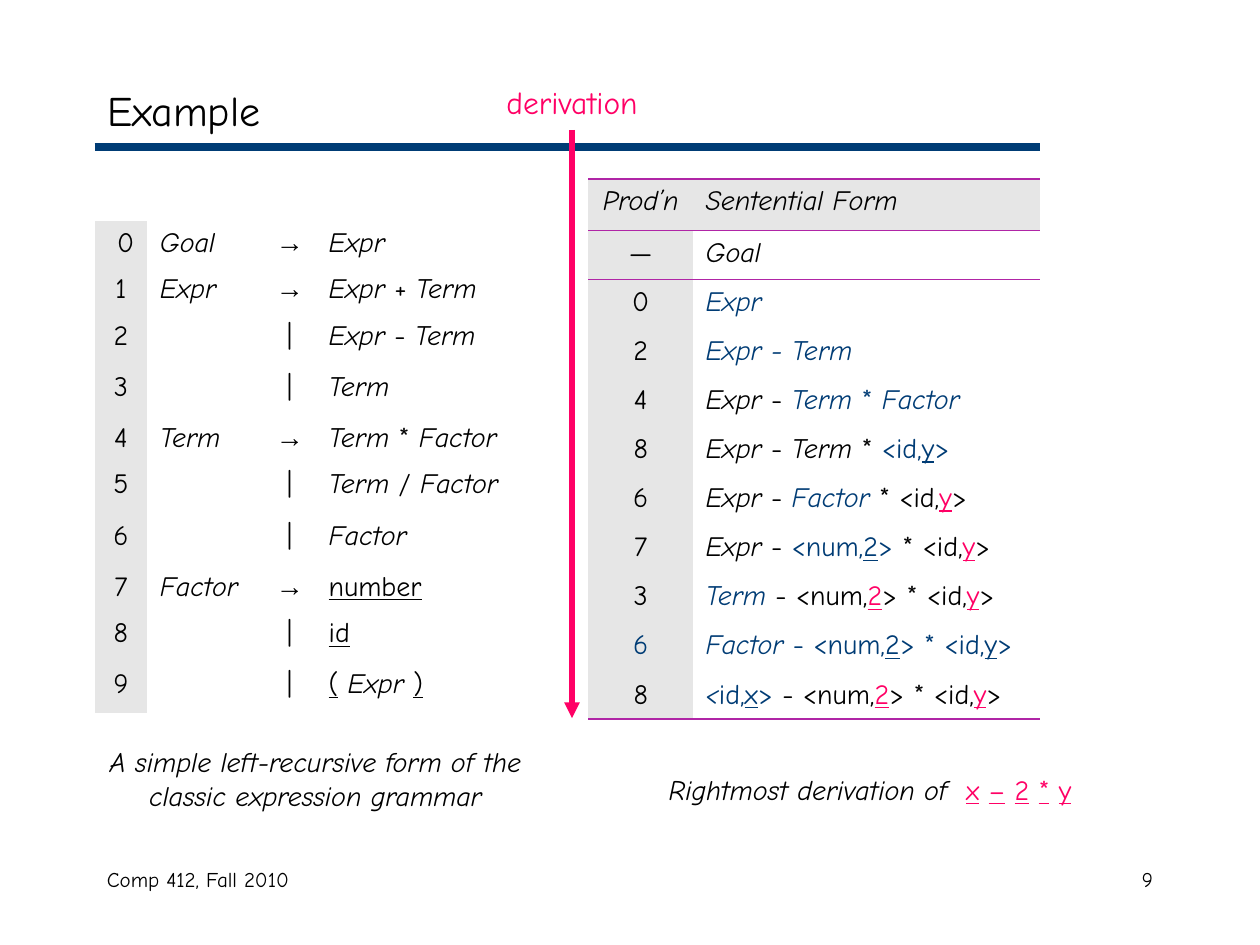
import pptx
import pptx.dml.color
import pptx.enum.shapes
import pptx.enum.text
import pptx.oxml.ns
import pptx.util
from lxml import etree
from pptx.util import Inches

RGB = pptx.dml.color.RGBColor
BLACK = RGB(0x00, 0x00, 0x00)
WHITE = RGB(0xFF, 0xFF, 0xFF)
BLUE = RGB(0x00, 0x3C, 0x75)
PINK = RGB(0xFF, 0x00, 0x65)
GREY = RGB(0xE6, 0xE6, 0xE6)
PURPLE = RGB(0xB0, 0x25, 0xA6)
FONT = "Comic Neue"
PLAIN_TABLE_STYLE = "{2D5ABB26-0587-4C30-8999-92F81FD0307C}"
LEFT, CENTER, RIGHT = (pptx.enum.text.PP_ALIGN.LEFT, pptx.enum.text.PP_ALIGN.CENTER,
                       pptx.enum.text.PP_ALIGN.RIGHT)
TOP = pptx.enum.text.MSO_ANCHOR.TOP

# Text is a string or a list of (text, marks); marks: i italic, u underline, b blue, p pink.
ARROW, BAR = "→", "|"
GRAMMAR = [
    (" 0", "Goal", ARROW, [("Expr", "i")]),
    ("1", "Expr", ARROW, [("Expr", "i"), (" + ", ""), ("Term", "i")]),
    ("2", "", BAR, [("Expr", "i"), (" - ", ""), ("Term", "i")]),
    ("3", "", BAR, [("Term", "i")]),
    ("4", "Term", ARROW, [("Term ", "i"), ("* ", ""), ("Factor", "i")]),
    ("5", "", BAR, [("Term", "i"), (" / ", ""), ("Factor", "i")]),
    ("6", "", BAR, [("Factor", "i")]),
    ("7", "Factor", ARROW, [("number", "u")]),
    ("8", "", BAR, [("id", "u")]),
    ("9", "", BAR, [("(", "u"), (" ", ""), ("Expr ", "i"), (")", "u")]),
]
ID_Y = [("y", "pu"), (">", "")]
NUM_2_ID_Y = [("- <num,", ""), ("2", "pu"), ("> * <id,", ""), *ID_Y]
DERIVATION = [
    ([("Prod’n", "i")], [("Sentential Form", "i")]),
    ("—", [("Goal", "i")]),
    ("0", [("Expr", "ib")]),
    ("2", [("Expr - Term", "ib")]),
    ("4", [("Expr", "i"), (" - ", ""), ("Term", "ib"), (" * ", "b"), ("Factor", "ib")]),
    ("8", [("Expr", "i"), (" - ", ""), ("Term", "i"), (" * ", ""),
           ("<id,", "b"), ("y", "bu"), (">", "b")]),
    ("6", [("Expr", "i"), (" - ", ""), ("Factor", "ib"), (" * <id,", ""), *ID_Y]),
    ("7", [("Expr", "i"), (" - ", ""), ("<num,", "b"), ("2", "bu"), ("> ", "b"),
           ("* <id,", ""), *ID_Y]),
    ("3", [("Term ", "ib"), *NUM_2_ID_Y]),
    ([("6", "b")], [("Factor ", "ib"), ("- <num,", "b"), ("2", "bu"), ("> * <id,", "b"),
                    ("y", "bu"), (">", "b")]),
    ("8", [("<", "ib"), ("id,", "b"), ("x", "bu"), ("> ", "b"), *NUM_2_ID_Y]),
]
EXPRESSION = [("Rightmost derivation of ", "i"), (" ", "p"), ("x", "pu"), (" ", "p"),
              ("–", "pu"), (" ", "p"), ("2", "pu"), (" ", "p"), ("*", "pu"), (" ", "p"),
              ("y", "pu")]


def write_text(frame, text, size=16, color=BLACK, align=LEFT, font=FONT):
    paragraph = frame.paragraphs[0]
    paragraph.alignment = align
    for words, marks in [(text, "")] if isinstance(text, str) else text:
        run = paragraph.add_run()
        run.text = words
        run.font.name = font
        run.font.size = pptx.util.Pt(size)
        run.font.italic = "i" in marks
        run.font.underline = "u" in marks
        run.font.color.rgb = BLUE if "b" in marks else PINK if "p" in marks else color


def add_label(slide, text, left, top, width, height, **text_format):
    label = slide.shapes.add_textbox(Inches(left), Inches(top), Inches(width), Inches(height))
    label.text_frame.word_wrap = True
    write_text(label.text_frame, text, **text_format)


def add_line(slide, x1, y1, x2, y2, color, width):
    line = slide.shapes.add_connector(pptx.enum.shapes.MSO_CONNECTOR.STRAIGHT,
                                      Inches(x1), Inches(y1), Inches(x2), Inches(y2))
    line.line.color.rgb = color
    line.line.width = pptx.util.Pt(width)
    etree.SubElement(line._element.spPr, pptx.oxml.ns.qn("a:effectLst"))
    return line


def add_plain_table(slide, left, top, column_widths, row_heights):
    frame = slide.shapes.add_table(len(row_heights), len(column_widths), Inches(left), Inches(top),
                                   Inches(sum(column_widths)), Inches(sum(row_heights)))
    table = frame.table
    table.first_row = table.horz_banding = False
    table._tbl.tblPr.find(pptx.oxml.ns.qn("a:tableStyleId")).text = PLAIN_TABLE_STYLE
    for column, width in zip(table.columns, column_widths):
        column.width = Inches(width)
    for row, height in zip(table.rows, row_heights):
        row.height = Inches(height)
    return table


def fill_cell(cell, color):
    cell.fill.solid()
    cell.fill.fore_color.rgb = color


def add_border(cell, side, width):
    """Draw a purple border on a side, "T" or "B"; call it before the cell is filled."""
    edge = etree.SubElement(cell._tc.get_or_add_tcPr(), pptx.oxml.ns.qn(f"a:ln{side}"),
                            w=str(pptx.util.Pt(width)))
    fill = etree.SubElement(edge, pptx.oxml.ns.qn("a:solidFill"))
    etree.SubElement(fill, pptx.oxml.ns.qn("a:srgbClr"), val=str(PURPLE))


def add_heading(slide, left, top, width, height, rule_width):
    title = slide.shapes.title
    title.left, title.top = Inches(left), Inches(top)
    title.width, title.height = Inches(width), Inches(height)
    title.text_frame.vertical_anchor = pptx.enum.text.MSO_ANCHOR.MIDDLE
    write_text(title.text_frame, "Example", size=24)
    rule_y = top + height + 0.01
    add_line(slide, left, rule_y, left + rule_width, rule_y, BLUE, 4.5)


def add_grammar(slide, left, top, width):
    columns = [0.42, 0.92, 0.42]
    columns.append(width - sum(columns))
    table = add_plain_table(slide, left, top, columns, [0.37] * len(GRAMMAR))
    for row, (number, symbol, sign, expansion) in enumerate(GRAMMAR):
        cells = [table.cell(row, column) for column in range(4)]
        write_text(cells[0].text_frame, number, align=CENTER)
        if symbol:
            write_text(cells[1].text_frame, [(symbol, "i")])
        write_text(cells[2].text_frame, sign, align=CENTER,
                   font="Arial" if sign == ARROW else FONT)
        write_text(cells[3].text_frame, expansion)
        fill_cell(cells[0], GREY)
        for cell in cells[1:]:
            cell.fill.background()
    add_label(slide, [("A simple left-recursive form of the classic expression grammar", "i")],
              left - 0.08, top + 4.11, width, 0.64, align=CENTER)


def add_derivation(slide, left, top, width):
    number_width, last = 0.83, len(DERIVATION) - 1
    heights = [0.41] + [0.39] * (last - 1) + [0.37]
    table = add_plain_table(slide, left, top, [number_width, width - number_width], heights)
    for row, texts in enumerate(DERIVATION):
        for column, text in enumerate(texts):
            cell = table.cell(row, column)
            write_text(cell.text_frame, text, align=LEFT if column else CENTER)
            if row == 0:
                add_border(cell, "T", 1.08)
                add_border(cell, "B", 0.45)
            elif row == 1:
                add_border(cell, "T", 0.45)
            elif row == last:
                add_border(cell, "B", 1.08)
            fill_cell(cell, WHITE if row and column else GREY)
    add_label(slide, EXPRESSION, left - 0.29, top + 4.66, 5.05, 0.37, align=CENTER)


def add_direction(slide, left, top, width, height):
    """Draw the downward arrow under its word."""
    center = left + width / 2
    arrow = add_line(slide, center, top + 0.42, center, top + height, PINK, 3)
    etree.SubElement(arrow.line._get_or_add_ln(), pptx.oxml.ns.qn("a:tailEnd"), type="triangle")
    add_label(slide, "derivation", left, top, width, 0.4, size=18, color=PINK, align=CENTER)


def add_footer(slide, left, top, width, height):
    number_width = 2.08
    add_label(slide, "Comp 412, Fall 2010", left, top, 3.17, height, size=12)
    add_label(slide, "9", left + width - number_width, top, number_width, height,
              size=12, align=RIGHT)


def main():
    deck = pptx.Presentation()
    deck.slide_width, deck.slide_height = Inches(10), Inches(7.5)
    slide = deck.slides.add_slide(deck.slide_layouts[5])
    add_heading(slide, 0.75, 0.58, 8.5, 0.58, rule_width=7.5)
    add_grammar(slide, 0.75, 1.75, 3.67)
    add_derivation(slide, 4.67, 1.42, 3.58)
    add_direction(slide, 3.5, 0.61, 2.08, 5.09)
    add_footer(slide, 0.75, 6.83, 8.5, 0.5)
    deck.save("out.pptx")


if __name__ == "__main__":
    main()
